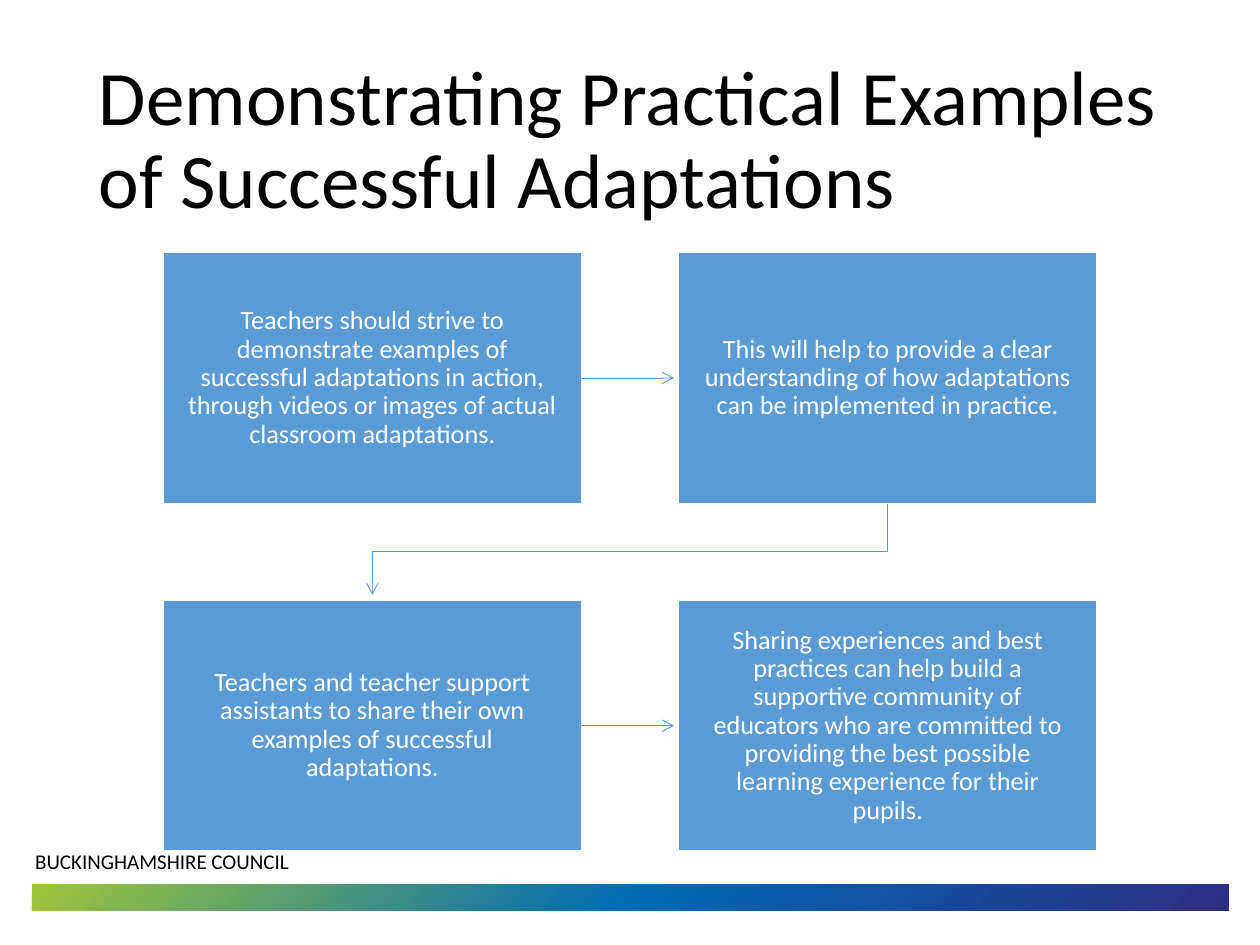
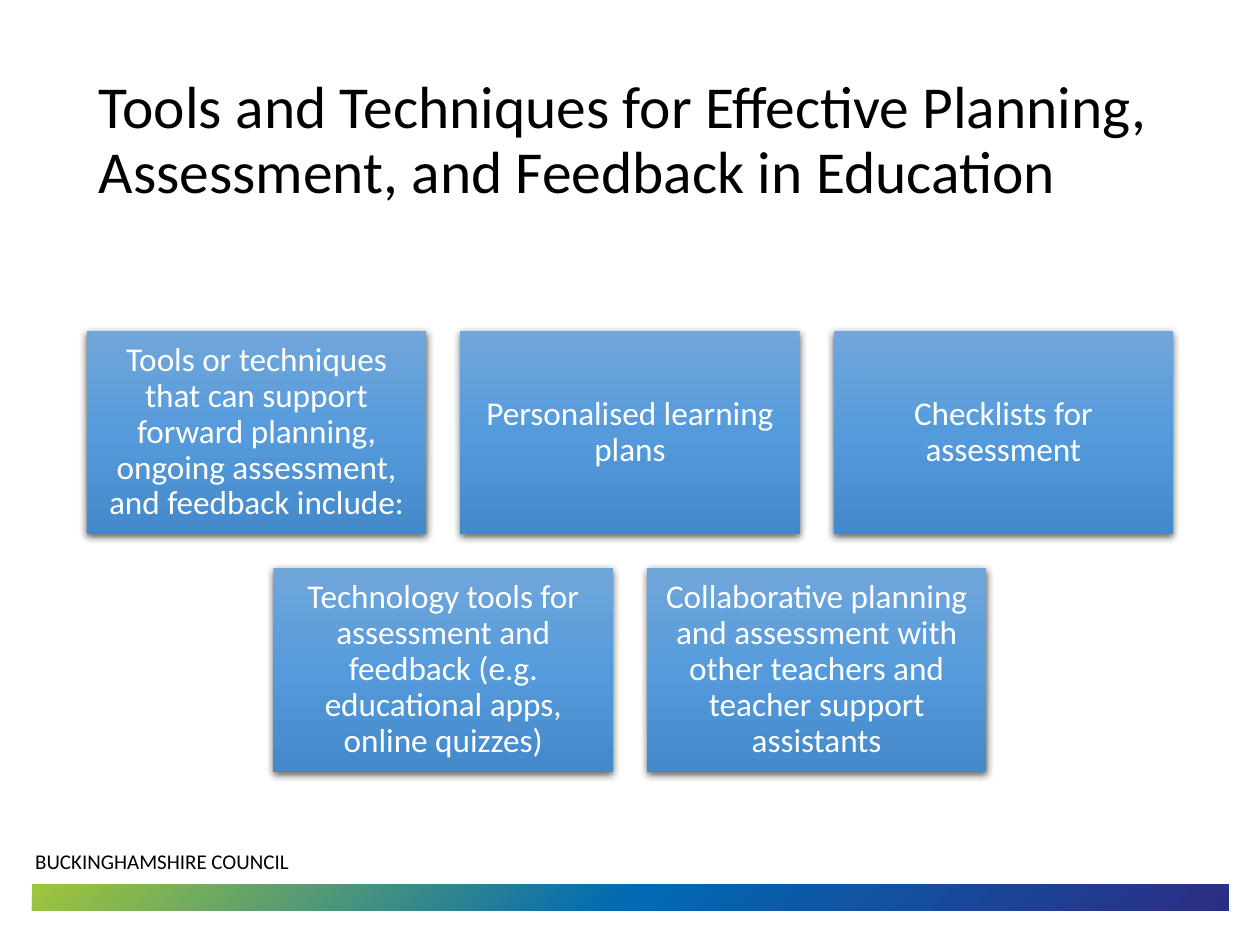
from dataclasses import dataclass

from lxml.etree import SubElement
from pptx import Presentation
from pptx.dml.color import RGBColor as RGB
from pptx.enum.shapes import MSO_CONNECTOR as LINK, MSO_SHAPE as SHAPE
from pptx.enum.text import MSO_ANCHOR as ANCHOR, PP_ALIGN as ALIGN
from pptx.oxml import parse_xml
from pptx.oxml.ns import nsdecls, qn
from pptx.util import Pt


@dataclass(frozen=True)
class Theme:
    font: str = "Calibri"
    ink: str = "000000"
    paper: str = "FFFFFF"
    blue: str = "5B9BD5"
    band: tuple = ("9FC63B", "006AB4", "2C2D84")
    tile: tuple = ("71A6DB", "559BDB", "448ACA")
    foot: int = 12
    step: int = 15
    tool: int = 19


theme = Theme()
WIDE, HIGH = 720, 540


def write(shape, text, size, color, align=ALIGN.LEFT, inset=(7.2, 3.6), lead=1.0):
    """Fill the shape with one middle-anchored paragraph."""
    frame = shape.text_frame
    frame.word_wrap = True
    frame.vertical_anchor = ANCHOR.MIDDLE
    frame.margin_left = frame.margin_right = Pt(inset[0])
    frame.margin_top = frame.margin_bottom = Pt(inset[1])
    para = frame.paragraphs[0]
    para.text = text
    para.alignment = align
    para.line_spacing = lead
    para.font.name = theme.font
    para.font.size = Pt(size)
    para.font.color.rgb = RGB.from_string(color)


def blend(shape, colors, angle):
    """Give the shape an even gradient, its angle in degrees clockwise."""
    stops = "".join(
        f'<a:gs pos="{i * 100000 // (len(colors) - 1)}"><a:srgbClr val="{c}"/></a:gs>'
        for i, c in enumerate(colors))
    grad = parse_xml(
        f'<a:gradFill {nsdecls("a")} rotWithShape="1"><a:gsLst>{stops}</a:gsLst>'
        f'<a:lin ang="{angle * 60000}" scaled="0"/></a:gradFill>')
    shape.fill.background()
    props = shape.fill._xPr
    props.replace(props.find(qn("a:noFill")), grad)


deck = Presentation()
deck.slide_width, deck.slide_height = Pt(WIDE), Pt(HIGH)

# Shared frame: band, footer and title
titles = [
    ("Demonstrating Practical Examples of Successful Adaptations", 44),
    ("Tools and Techniques for Effective Planning, Assessment, and Feedback in Education", 34),
]
slides = []
for title, size in titles:
    slide = deck.slides.add_slide(deck.slide_layouts[6])
    band = slide.shapes.add_shape(SHAPE.RECTANGLE, Pt(18.2), Pt(505.2), Pt(683.6), Pt(15))
    band.shadow.inherit = False
    band.line.fill.background()
    blend(band, theme.band, 45)
    foot = slide.shapes.add_textbox(Pt(13), Pt(481), Pt(346), Pt(21.8))
    write(foot, "BUCKINGHAMSHIRE COUNCIL", theme.foot, theme.ink)
    head = slide.shapes.add_textbox(Pt(49.5), Pt(28.75), Pt(621), Pt(104.4))
    write(head, title, size, theme.ink, lead=0.9)
    slides.append(slide)

# Slide 1: four steps joined by arrows
shapes = slides[0].shapes
steps = [
    "Teachers should strive to demonstrate examples of successful adaptations in action, "
    "through videos or images of actual classroom adaptations.",
    "This will help to provide a clear understanding of how adaptations can be "
    "implemented in practice.",
    "Teachers and teacher support assistants to share their own examples of "
    "successful adaptations.",
    "Sharing experiences and best practices can help build a supportive community of "
    "educators who are committed to providing the best possible learning experience "
    "for their pupils.",
]
wide, high, gap, top = 239.8, 144, 54.7, 144
left = (WIDE - 2 * wide - gap) / 2
arrows = []
for i, text in enumerate(steps):
    row, col = divmod(i, 2)
    x, y = left + col * (wide + gap), top + row * (high + gap)
    box = shapes.add_shape(SHAPE.RECTANGLE, Pt(x), Pt(y), Pt(wide), Pt(high))
    box.shadow.inherit = False
    box.fill.solid()
    box.fill.fore_color.rgb = RGB.from_string(theme.blue)
    box.line.color.rgb = RGB.from_string(theme.paper)
    box.line.width = Pt(1.5)
    write(box, text, theme.step, theme.paper, ALIGN.CENTER, (11.75, 12.3), 0.9)
    if col == 0:
        mid, end = y + high / 2, x + wide
        arrow = shapes.add_connector(
            LINK.STRAIGHT, Pt(end), Pt(mid), Pt(end + gap - 2.2), Pt(mid))
        SubElement(arrow.line._get_or_add_ln().getparent(), qn("a:effectLst"))
        arrows.append(arrow)

start, end = left + 1.5 * wide + gap, left + wide / 2
base = top + high
pen = shapes.build_freeform(Pt(start), Pt(base))
pen.add_line_segments(
    [(Pt(start), Pt(base + gap / 2)), (Pt(end), Pt(base + gap / 2)),
     (Pt(end), Pt(base + gap - 2.8))], close=False)
turn = pen.convert_to_shape()
turn.shadow.inherit = False
turn.fill.background()
arrows.append(turn)

for arrow in arrows:
    arrow.line.color.rgb = RGB.from_string(theme.blue)
    arrow.line.width = Pt(0.5)
    SubElement(arrow.line._get_or_add_ln(), qn("a:tailEnd"), type="arrow")

# Slide 2: centred rows of tool tiles
shapes = slides[1].shapes
rows = [
    ["Tools or techniques that can support forward planning, ongoing assessment, "
     "and feedback include:",
     "Personalised learning plans",
     "Checklists for assessment"],
    ["Technology tools for assessment and feedback (e.g. educational apps, online quizzes)",
     "Collaborative planning and assessment with other teachers and teacher support "
     "assistants"],
]
wide, high, gap, top = 194, 116.4, 19.4, 188.9
for row, texts in enumerate(rows):
    left = (WIDE - len(texts) * (wide + gap) + gap) / 2
    for col, text in enumerate(texts):
        tile = shapes.add_shape(
            SHAPE.RECTANGLE, Pt(left + col * (wide + gap)), Pt(top + row * (high + gap)),
            Pt(wide), Pt(high))
        blend(tile, theme.tile, 90)
        tile.line.fill.background()
        tile.shadow.inherit = False
        glow = tile.fill._xPr.find(qn("a:effectLst"))
        glow.append(parse_xml(
            f'<a:outerShdw {nsdecls("a")} blurRad="{Pt(4.5)}" dist="{Pt(1.5)}" '
            f'dir="5400000" algn="ctr" rotWithShape="0"><a:srgbClr val="{theme.ink}">'
            '<a:alpha val="63000"/></a:srgbClr></a:outerShdw>'))
        write(tile, text, theme.tool, theme.paper, ALIGN.CENTER, (5.7, 5.7), 0.9)

deck.save("out.pptx")
